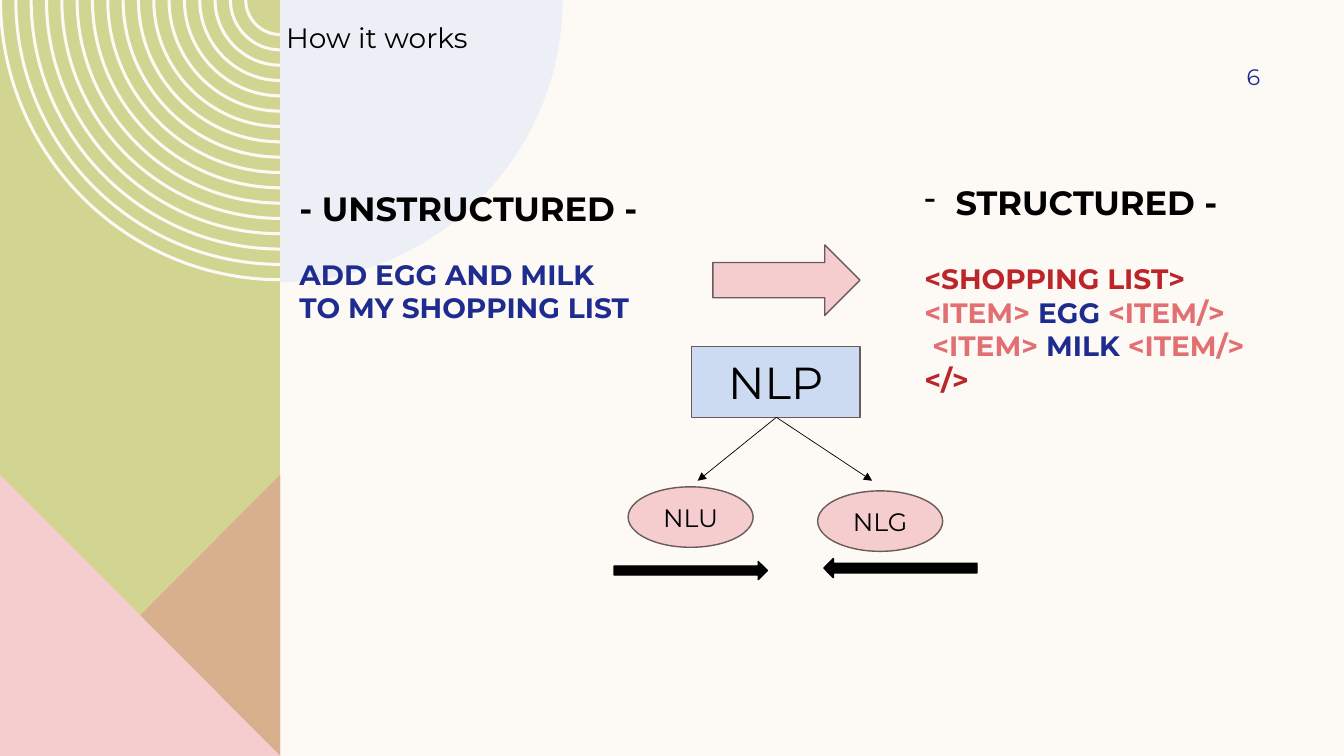
"""Build the "How it works" slide on natural language processing."""
from lxml.etree import SubElement
from pptx import Presentation
from pptx.dml.color import RGBColor
from pptx.enum.shapes import MSO_CONNECTOR as Connector, MSO_SHAPE as Shape
from pptx.enum.text import MSO_ANCHOR as Anchor, MSO_AUTO_SIZE as AutoSize, PP_ALIGN as Align
from pptx.oxml.ns import qn
from pptx.util import Inches, Pt

FONT = "Montserrat"
CREAM, GREEN, PINK, ROSE = "FDFAF6", "D2D592", "F5CDCE", "DE8C8C"
PALE_BLUE, LIGHT_BLUE, NAVY = "DDE7F6", "CCDBF1", "1F2C8F"
RED, CORAL, BROWN, BLACK = "BC2529", "E26F72", "6B5A5A", "000000"
PANEL_W, SLIDE_H, TRIANGLE_TOP = 2.78, 7.5, 4.71
RING_COUNT, RING_STEP, RING_WIDTH = 17, 0.152, 0.03
ROUNDNESS = 0.55


def rgb(color):
    """Turn a hex string into a colour."""
    return RGBColor.from_string(color)


def paint(shape, color, line=None, alpha=None):
    """Fill a shape, outline it if asked and drop its shadow."""
    shape.shadow.inherit = False
    shape.fill.solid()
    shape.fill.fore_color.rgb = rgb(color)
    if alpha:
        tint = shape.element.spPr.find(qn("a:solidFill"))[0]
        SubElement(tint, qn("a:alpha"), val=str(alpha * 1000))
    if line:
        shape.line.color.rgb = rgb(line)
        shape.line.width = Pt(1)
    else:
        shape.line.fill.background()


def quarter(radius, side):
    """List Bezier points of a quarter circle left (-1) or right (1) of the panel edge."""
    reach, pull = side * radius, ROUNDNESS * radius
    return [(PANEL_W + reach, 0), (PANEL_W + reach, pull),
            (PANEL_W + side * pull, radius), (PANEL_W, radius)]


def add_outline(slide, contours, color, alpha=None, curves=()):
    """Draw closed contours as one freeform, bending three segments from each curve index."""
    emu = [[(Inches(x), Inches(y)) for x, y in contour] for contour in contours]
    builder = slide.shapes.build_freeform(*emu[0][0])
    for number, contour in enumerate(emu):
        if number:
            builder.move_to(*contour[0])
        builder.add_line_segments(contour[1:], close=True)
    shape = builder.convert_to_shape()
    paint(shape, color, alpha=alpha)
    segments = list(shape.element.iter(qn("a:lnTo")))
    for first in curves:
        outline = segments[first].getparent()
        curve = SubElement(outline, qn("a:cubicBezTo"))
        segments[first].addprevious(curve)
        for segment in segments[first:first + 3]:
            curve.append(segment[0])
            outline.remove(segment)


def style(paragraph, size, color=BLACK, bold=False, align=Align.LEFT):
    """Set the alignment and font of a paragraph."""
    paragraph.alignment = align
    font = paragraph.font
    font.name, font.size, font.bold = FONT, Pt(size), bold
    font.color.rgb = rgb(color)


def add_shape(slide, kind, box, color, line=BROWN, label=None, size=18):
    """Add a preset shape with an optional centred label."""
    shape = slide.shapes.add_shape(kind, *map(Inches, box))
    paint(shape, color, line)
    if label:
        shape.text_frame.text = label
        shape.text_frame.vertical_anchor = Anchor.MIDDLE
        style(shape.text_frame.paragraphs[0], size, align=Align.CENTER)


def add_text(slide, box, text, size, color=BLACK, align=Align.LEFT, wrap=True):
    """Add a one-line text box and return its frame."""
    frame = slide.shapes.add_textbox(*map(Inches, box)).text_frame
    frame.word_wrap = wrap
    frame.text = text
    style(frame.paragraphs[0], size, color, align=align)
    return frame


def add_branch(slide, start, end):
    """Add a thin arrow between two points."""
    branch = slide.shapes.add_connector(Connector.STRAIGHT, *map(Inches, start + end))
    branch.line.color.rgb = rgb(BLACK)
    branch.line.width = Pt(0.5)
    properties = branch.element.spPr
    SubElement(properties.find(qn("a:ln")), qn("a:tailEnd"), type="triangle")
    SubElement(properties, qn("a:effectLst"))


def set_frame(frame):
    """Anchor a text block at the bottom without vertical insets."""
    frame.auto_size = AutoSize.NONE
    frame.word_wrap = True
    frame.vertical_anchor = Anchor.BOTTOM
    frame.margin_left = frame.margin_right = Inches(0.1)
    frame.margin_top = frame.margin_bottom = 0


def add_decoration(slide):
    """Draw the coloured panel, rings, triangles and quarter disc."""
    add_outline(slide, [[(0, 0), (PANEL_W, 0), (PANEL_W, SLIDE_H), (0, SLIDE_H)]], GREEN)
    radii = [PANEL_W + 0.01 - RING_STEP * ring for ring in range(RING_COUNT)]
    rings = [quarter(r, -1) + quarter(r - RING_WIDTH, -1)[::-1] for r in radii]
    bends = [7 * ring + offset for ring in range(RING_COUNT) for offset in (0, 4)]
    add_outline(slide, rings, CREAM, curves=bends)
    top_right, bottom_right = (PANEL_W, TRIANGLE_TOP), (PANEL_W, SLIDE_H)
    top_left, bottom_left = (0, TRIANGLE_TOP), (0, SLIDE_H)
    add_outline(slide, [[top_right, bottom_right, bottom_left]], ROSE, 50)
    add_outline(slide, [[bottom_right, bottom_left, top_left]], PINK)
    add_outline(slide, [quarter(2.8, 1) + [(PANEL_W, 0)]], PALE_BLUE, 50, curves=[0])


def add_unstructured(slide):
    """Fill the title with the plain sentence."""
    title = slide.shapes.title
    slide.shapes.element.append(title.element)
    title.left, title.top, title.width, title.height = map(Inches, (2.87, 1.86, 4.33, 1.36))
    frame = title.text_frame
    set_frame(frame)
    frame.text = "- UNSTRUCTURED -\nADD EGG AND MILK\vTO MY SHOPPING LIST"
    heading, sentence = frame.paragraphs
    style(heading, 24, bold=True)
    style(sentence, 20, NAVY, bold=True)
    sentence.space_before = Pt(21)


def add_structured(slide):
    """Add the tagged shopping list."""
    frame = add_text(slide, (9.07, 1.86, 4.33, 2.07), "STRUCTURED -", 24)
    set_frame(frame)
    heading = frame.paragraphs[0]
    properties = heading._p.get_or_add_pPr()
    properties.set("marL", str(Inches(0.31)))
    properties.set("indent", str(Inches(-0.31)))
    properties.insert(0, SubElement(properties, qn("a:buChar"), char="-"))
    style(heading, 24, bold=True)
    lines = [
        [("<SHOPPING LIST>", RED)],
        [("<ITEM> ", CORAL), ("EGG ", NAVY), ("<ITEM/>", CORAL)],
        [("<ITEM> ", CORAL), ("MILK ", NAVY), ("<ITEM/>", CORAL)],
        [("</>", RED)],
    ]
    for number, parts in enumerate(lines):
        line = frame.add_paragraph()
        if number == 0:
            line.space_before = Pt(28)
        if number == 2:
            line._p.get_or_add_pPr().set("marL", str(Inches(0.08)))
        style(line, 20, bold=True)
        for text, color in parts:
            run = line.add_run()
            run.text = text
            run.font.color.rgb = rgb(color)


def add_diagram(slide):
    """Draw NLP with its two branches and the arrows."""
    add_shape(slide, Shape.RIGHT_ARROW, (7.07, 2.43, 1.46, 0.7), PINK)
    add_shape(slide, Shape.RECTANGLE, (6.86, 3.44, 1.67, 0.7), LIGHT_BLUE, label="NLP", size=32)
    for tip in ((6.92, 4.77), (8.65, 4.77)):
        add_branch(slide, (7.7, 4.14), tip)
    add_shape(slide, Shape.OVAL, (6.23, 4.83, 1.24, 0.6), PINK, label="NLU")
    add_shape(slide, Shape.OVAL, (8.11, 4.87, 1.24, 0.6), PINK, label="NLG")
    add_shape(slide, Shape.LEFT_ARROW, (8.17, 5.54, 1.52, 0.19), BLACK, BLACK)
    add_shape(slide, Shape.RIGHT_ARROW, (6.09, 5.57, 1.52, 0.18), BLACK, BLACK)


def main():
    """Build and save the slide."""
    deck = Presentation()
    deck.slide_width, deck.slide_height = Inches(13.33), Inches(SLIDE_H)
    slide = deck.slides.add_slide(deck.slide_layouts[5])
    slide.background.fill.solid()
    slide.background.fill.fore_color.rgb = rgb(CREAM)
    add_decoration(slide)
    add_unstructured(slide)
    number = add_text(slide, (11.33, 0.5, 1.17, 0.52), "6", 16, NAVY, Align.RIGHT)
    number.vertical_anchor = Anchor.MIDDLE
    number.margin_right = 0
    add_structured(slide)
    add_text(slide, (2.74, 0.15, 2.23, 0.44), "How it works", 20, wrap=False)
    add_diagram(slide)
    deck.save("out.pptx")


if __name__ == "__main__":
    main()
